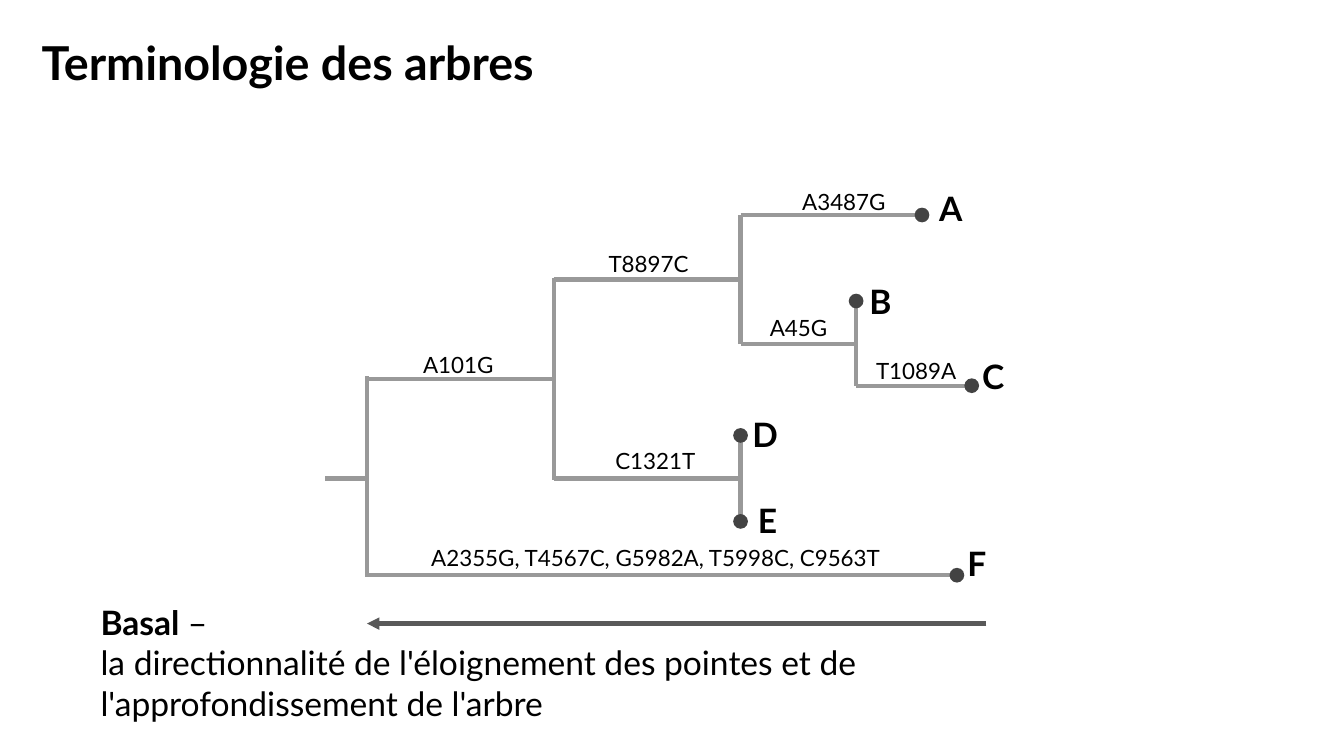
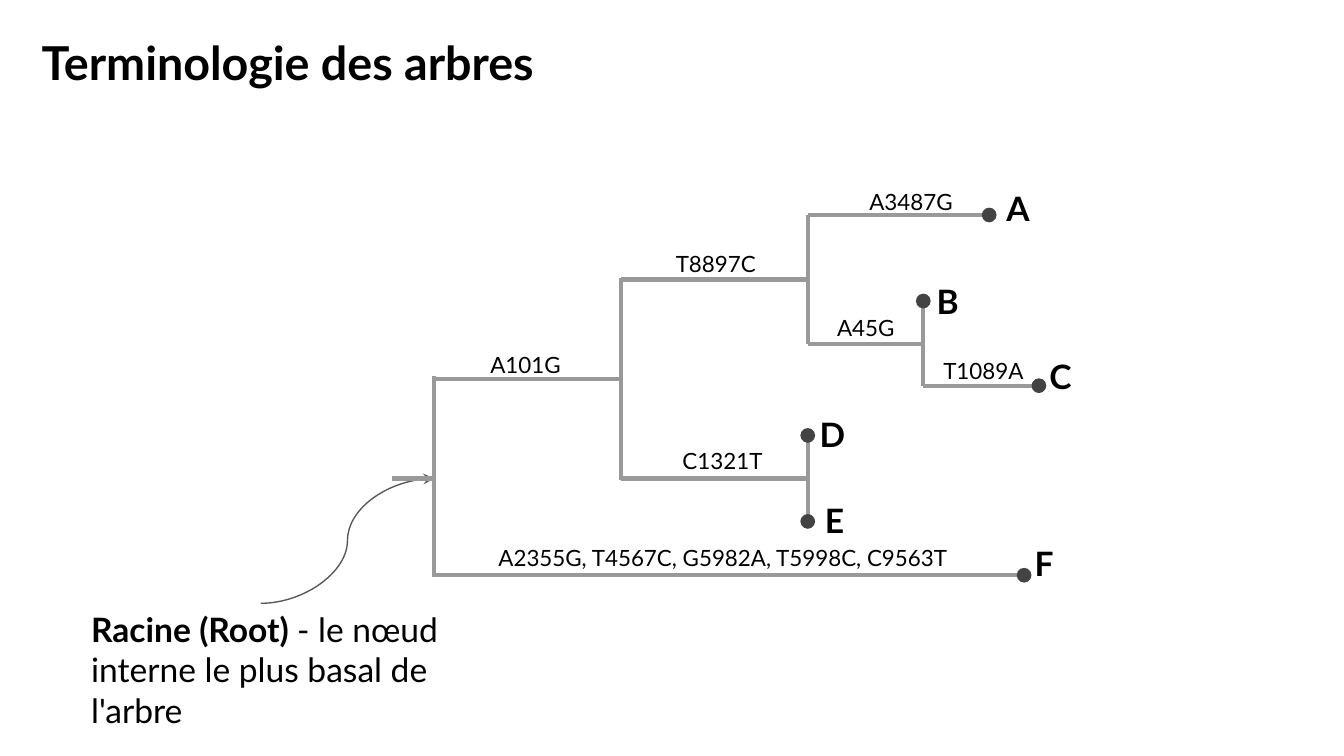
from lxml.etree import SubElement
from pptx import Presentation
from pptx.dml.color import RGBColor
from pptx.enum.shapes import MSO_CONNECTOR, MSO_SHAPE
from pptx.enum.text import MSO_ANCHOR, MSO_AUTO_SIZE, PP_ALIGN
from pptx.oxml.ns import qn
from pptx.util import Inches, Pt

BLACK = RGBColor(0x00, 0x00, 0x00)
BRANCH = RGBColor(0x99, 0x99, 0x99)
ARROW = RGBColor(0x59, 0x59, 0x59)
DOT = RGBColor(0x43, 0x43, 0x43)
FONT = "Lato"
TITLE = "Terminologie des arbres"
WIDE = 10
HIGH = WIDE * 9 / 16
SIZE = 0.11

# Branch: start, end, height, mutation, label left, label rise, label width
BRANCHES = [
    (0, 0.31, 2.26, "", 0, 0, 0),
    (0.31, 1.7, 1.52, "A101G", 0.63, 0.31, 0.86),
    (0.31, 4.68, 2.98, "A2355G, T4567C, G5982A, T5998C, C9563T", 0.69, 0.33, 3.61),
    (1.7, 3.09, 2.26, "C1321T", 2.06, 0.33, 0.86),
    (1.7, 3.09, 0.78, "T8897C", 2.01, 0.32, 0.86),
    (3.09, 3.95, 1.26, "A45G", 3.21, 0.32, 0.86),
    (3.95, 4.81, 1.57, "T1089A", 4.0, 0.31, 0.98),
    (3.09, 4.47, 0.3, "A3487G", 3.45, 0.3, 0.98),
]
# Fork: across, upper end, lower end
FORKS = [
    (0.31, 1.5, 2.99),
    (1.7, 0.77, 2.27),
    (3.09, 1.93, 2.56),
    (3.09, 0.3, 1.26),
    (3.95, 0.94, 1.57),
]
# Tip: name, dot centre, label corner
TIPS = [
    ("A", 4.44, 0.3, 4.47, 0),
    ("B", 3.95, 0.94, 3.95, 0.69),
    ("C", 4.81, 1.57, 4.79, 1.25),
    ("D", 3.09, 1.94, 3.08, 1.68),
    ("E", 3.09, 2.58, 3.12, 2.32),
    ("F", 4.7, 2.98, 4.68, 2.64),
]


def write(shape, paras, size):
    """Fill a shape with paragraphs of (text, bold) runs."""
    frame = shape.text_frame
    frame.word_wrap = True
    frame.auto_size = MSO_AUTO_SIZE.NONE
    frame.vertical_anchor = MSO_ANCHOR.TOP
    frame.margin_left = frame.margin_right = Inches(0.1)
    frame.margin_top = frame.margin_bottom = Inches(0.1)
    for i, runs in enumerate(paras):
        para = frame.paragraphs[0] if i == 0 else frame.add_paragraph()
        para.alignment = PP_ALIGN.LEFT
        for text, bold in runs:
            run = para.add_run()
            run.text = text
            font = run.font
            font.name, font.size, font.bold = FONT, Pt(size), bold
            font.color.rgb = BLACK
    return frame


def label(slide, box, paras, size):
    """Add a text box and return its frame."""
    shape = slide.shapes.add_textbox(*map(Inches, box))
    return write(shape, paras, size)


def line(slide, start, end, color=BRANCH, width=2.25, head=None,
         kind=MSO_CONNECTOR.STRAIGHT):
    """Draw a line, with an arrowhead at its end if one is named."""
    link = slide.shapes.add_connector(kind, *map(Inches, (*start, *end)))
    link.line.color.rgb = color
    link.line.width = Pt(width)
    if head:
        SubElement(link.get_or_add_ln(), qn("a:tailEnd"), type=head)
    SubElement(link.element.spPr, qn("a:effectLst"))


def dot(slide, x, y):
    """Draw a tip dot centred on a point."""
    box = (x - SIZE / 2, y - SIZE / 2, SIZE, SIZE)
    shape = slide.shapes.add_shape(MSO_SHAPE.OVAL, *map(Inches, box))
    shape.shadow.inherit = False
    shape.fill.solid()
    shape.fill.fore_color.rgb = DOT
    shape.line.fill.background()


def tree(slide, left, top):
    """Draw the tree from the corner of its box."""
    for x, end, y, *_ in BRANCHES:
        line(slide, (left + x, top + y), (left + end, top + y))
    for x, high, low in FORKS:
        line(slide, (left + x, top + low), (left + x, top + high))
    for _, _, y, text, x, rise, width in BRANCHES:
        if text:
            box = (left + x, top + y - rise, width, 0.31)
            label(slide, box, [[(text, False)]], 12)
    for name, x, y, across, down in TIPS:
        dot(slide, left + x, top + y)
        box = (left + across, top + down, 0.46, 0.33)
        label(slide, box, [[(name, True)]], 18)


def note(slide, box, paras):
    """Add a definition that grows with its text."""
    frame = label(slide, box, paras, 18)
    frame.auto_size = MSO_AUTO_SIZE.SHAPE_TO_FIT_TEXT


def start(deck):
    """Add a slide with the shared title."""
    slide = deck.slides.add_slide(deck.slide_layouts[5])
    head = slide.shapes.title
    head.left, head.top, head.width, head.height = map(
        Inches, (0.21, 0.15, 9.59, 0.76))
    write(head, [[(TITLE, True)]], 25)
    return slide


def basal(deck):
    """Build the slide on the basal direction."""
    slide = start(deck)
    tree(slide, 2.42, 1.3)
    line(slide, (7.34, 4.64), (2.73, 4.64), ARROW, head="triangle")
    note(slide, (0.65, 4.38, 8.09, 1.11), [
        [("Basal ", True), ("–", False)],
        [("la directionnalité de l'éloignement des pointes et de "
          "l'approfondissement de l'arbre", False)],
    ])


def root(deck):
    """Build the slide on the root."""
    slide = start(deck)
    note(slide, (0.58, 4.43, 3.17, 1.11), [
        [("Racine (Root) ", True),
         ("- le nœud interne le plus basal de l'arbre", False)],
    ])
    line(slide, (1.94, 4.49), (3.23, 3.56), ARROW, 0.75, "stealth",
         MSO_CONNECTOR.CURVE)
    tree(slide, 2.92, 1.3)


def main():
    """Build and save the deck."""
    deck = Presentation()
    deck.slide_width, deck.slide_height = Inches(WIDE), Inches(HIGH)
    basal(deck)
    root(deck)
    deck.save("out.pptx")


if __name__ == "__main__":
    main()
